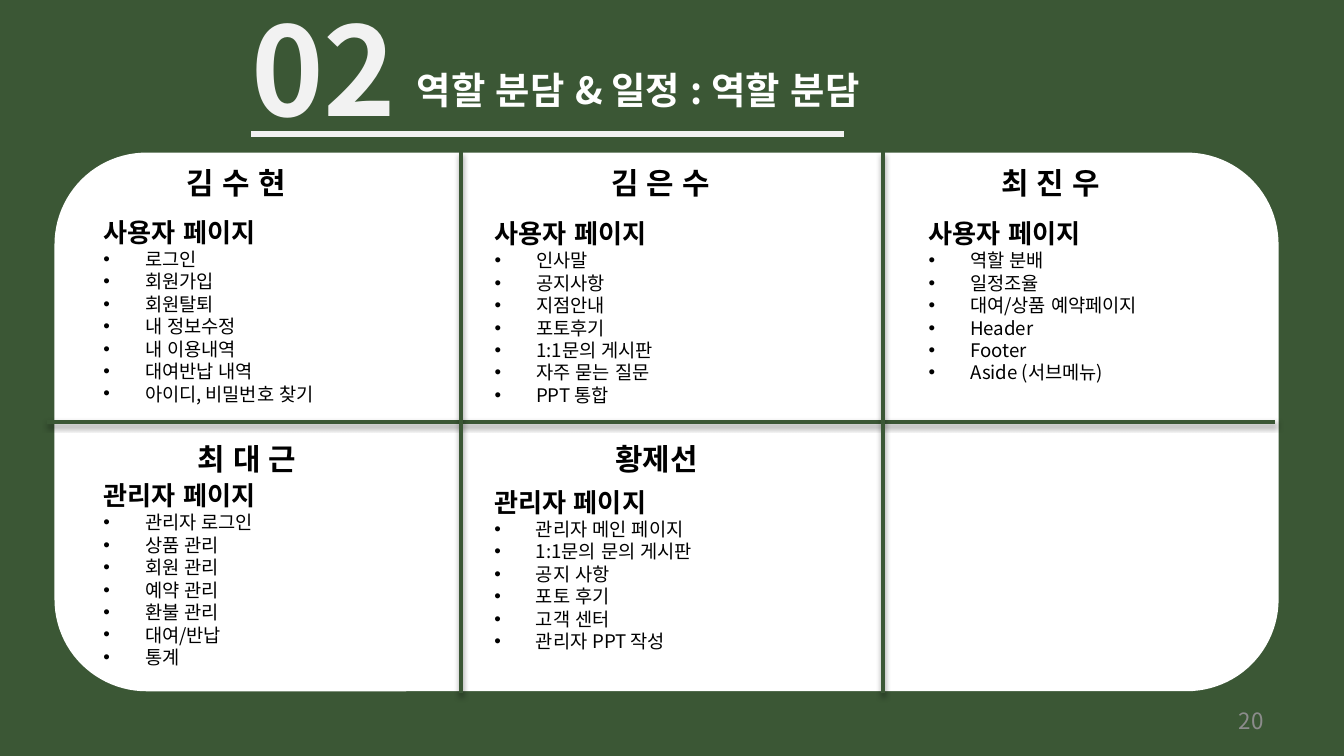
from lxml import etree
from pptx import Presentation
from pptx.dml.color import RGBColor
from pptx.enum.lang import MSO_LANGUAGE_ID as Language
from pptx.enum.shapes import MSO_CONNECTOR as Connector, MSO_SHAPE as Shape
from pptx.enum.text import MSO_ANCHOR as Anchor, MSO_AUTO_SIZE as AutoSize, PP_ALIGN as Align
from pptx.oxml.ns import qn
from pptx.util import Inches, Pt

FONT = "Noto Sans CJK KR"
GREEN, WHITE, BLACK = "3B5735", "FFFFFF", "000000"
CARD = (0.43, 1.16, 9.06, 3.96)
COLUMN_LINES = (3.43, 6.57)
ROW_LINE = 3.14

ROLES = [
    dict(col=0, row=0, name="김 수 현", name_at=(0.86, 0.02), list_at=(0.24, 0.4),
         page="사용자 페이지",
         tasks=["로그인", "회원가입", "회원탈퇴", "내 정보수정", "내 이용내역",
                "대여반납 내역", "아이디, 비밀번호 찾기"]),
    dict(col=1, row=0, name="김 은 수", name_at=(1.02, 0.02), list_at=(0.15, 0.41),
         page="사용자 페이지",
         tasks=["인사말", "공지사항", "지점안내", "포토후기", "1:1문의 게시판",
                "자주 묻는 질문", "PPT 통합"]),
    dict(col=2, row=0, name="최 진 우", name_at=(0.78, 0.02), list_at=(0.24, 0.41),
         page="사용자 페이지",
         tasks=["역할 분배", "일정조율", "대여/상품 예약페이지", "Header", "Footer",
                "Aside (서브메뉴)"]),
    dict(col=0, row=1, name="최 대 근", name_at=(0.94, 0.09), list_at=(0.24, 0.38),
         page="관리자 페이지",
         tasks=["관리자 로그인", "상품 관리", "회원 관리", "예약 관리", "환불 관리",
                "대여/반납", "통계"]),
    dict(col=1, row=1, name="황제선", name_at=(1.05, 0.09), list_at=(0.15, 0.43),
         page="관리자 페이지",
         tasks=["관리자 메인 페이지", "1:1문의 문의 게시판", "공지 사항", "포토 후기",
                "고객 센터", "관리자 PPT 작성"]),
]


def color(hex_code):
    return RGBColor.from_string(hex_code)


def place(shape, left, top, width, height):
    shape.left, shape.top = Inches(left), Inches(top)
    shape.width, shape.height = Inches(width), Inches(height)


def prepare_frame(shape, wrap=True, anchor=Anchor.TOP):
    frame = shape.text_frame
    frame.auto_size = AutoSize.NONE
    frame.word_wrap = wrap
    frame.vertical_anchor = anchor
    frame.margin_left = frame.margin_right = Inches(0.1)
    frame.margin_top = frame.margin_bottom = Inches(0.05)
    return frame


def write(paragraph, text, size, ink=BLACK, bold=False, align=Align.LEFT, bullet=False):
    props = paragraph._p.get_or_add_pPr()
    indent = Inches(0.31) if bullet else 0
    props.set("marL", str(indent))
    props.set("indent", str(-indent))
    if bullet:
        etree.SubElement(props, qn("a:buFont"), typeface="Arial")
        etree.SubElement(props, qn("a:buChar"), char="•")
    else:
        etree.SubElement(props, qn("a:buNone"))
    paragraph.alignment = align
    paragraph.space_before = paragraph.space_after = Pt(0)
    run = paragraph.add_run()
    run.text = text
    run.font.name = FONT
    run.font.size = Pt(size)
    run.font.bold = bold
    run.font.language_id = Language.KOREAN
    run.font.color.rgb = color(ink)
    run.font._element.set("kern", "0")
    etree.SubElement(run.font._element, qn("a:ea"), typeface=FONT)


def add_text(slide, box, text, wrap=True, anchor=Anchor.TOP, **style):
    label = slide.shapes.add_textbox(0, 0, 0, 0)
    place(label, *box)
    write(prepare_frame(label, wrap, anchor).paragraphs[0], text, **style)


def add_line(slide, start, end, ink, weight, shadow=False):
    points = [Inches(value) for value in (*start, *end)]
    line = slide.shapes.add_connector(Connector.STRAIGHT, *points)
    line.line.color.rgb = color(ink)
    line.line.width = Pt(weight)
    effects = etree.SubElement(line.element.spPr, qn("a:effectLst"))
    if shadow:
        outer = etree.SubElement(effects, qn("a:outerShdw"), blurRad=str(Pt(3.1)),
                                 dist=str(Pt(1.6)), dir="5400000", rotWithShape="0")
        black = etree.SubElement(outer, qn("a:srgbClr"), val=BLACK)
        etree.SubElement(black, qn("a:alpha"), val="38000")


def build_header(slide, left, top):
    add_text(slide, (left, top, 1.4, 1.21), "02", size=66, ink="F2F2F2", bold=True)
    add_line(slide, (left + 0.1, top + 1.1), (left + 4.51, top + 1.1), "F2F2F2", 3.25)
    title = slide.shapes.title
    place(title, left + 1.23, top + 0.55, 5.44, 0.44)
    write(prepare_frame(title).paragraphs[0], "역할 분담 & 일정 : 역할 분담",
          size=20, ink=WHITE, bold=True)


def build_card(slide, left, top, width, height):
    card = slide.shapes.add_shape(Shape.ROUNDED_RECTANGLE, Inches(left), Inches(top),
                                  Inches(width), Inches(height))
    card.shadow.inherit = False
    card.fill.solid()
    card.fill.fore_color.rgb = color(WHITE)
    card.line.color.rgb = color(WHITE)
    card.line.width = Pt(3.5)
    card.element.getparent().insert(2, card.element)
    add_line(slide, (left - 0.08, ROW_LINE), (left + width, ROW_LINE), GREEN, 2, shadow=True)
    for x in COLUMN_LINES:
        add_line(slide, (x, top + height + 0.04), (x, top - 0.03), GREEN, 2, shadow=True)


def build_role(slide, list_box, left, top, role):
    name_x, name_y = role["name_at"]
    add_text(slide, (left + name_x, top + name_y, 1.03, 0.37), role["name"],
             wrap=False, size=16, bold=True)
    list_x, list_y = role["list_at"]
    place(list_box, left + list_x, top + list_y, 2.83, 1.51)
    frame = prepare_frame(list_box)
    write(frame.paragraphs[0], role["page"], size=14, bold=True)
    for task in role["tasks"]:
        write(frame.add_paragraph(), task, size=10, bullet=True)


def main():
    deck = Presentation()
    deck.slide_width = Inches(10)
    deck.slide_height = deck.slide_width * 9 // 16
    comparison_layout = deck.slide_layouts[4]
    slide = deck.slides.add_slide(comparison_layout)
    slide.background.fill.solid()
    slide.background.fill.fore_color.rgb = color(GREEN)

    list_boxes = [body for body in slide.placeholders if body.placeholder_format.idx > 0]
    while len(list_boxes) < len(ROLES):
        list_boxes.append(slide.shapes.add_textbox(0, 0, 0, 0))

    build_card(slide, *CARD)
    build_header(slide, 1.77, -0.1)
    lefts, tops = (CARD[0], *COLUMN_LINES), (CARD[1], ROW_LINE)
    for list_box, role in zip(list_boxes, ROLES):
        build_role(slide, list_box, lefts[role["col"]], tops[role["row"]], role)
    add_text(slide, (7.17, 5.21, 2.33, 0.3), "20", anchor=Anchor.MIDDLE,
             size=12, ink="8C8C8C", align=Align.RIGHT)
    deck.save("out.pptx")


if __name__ == "__main__":
    main()
